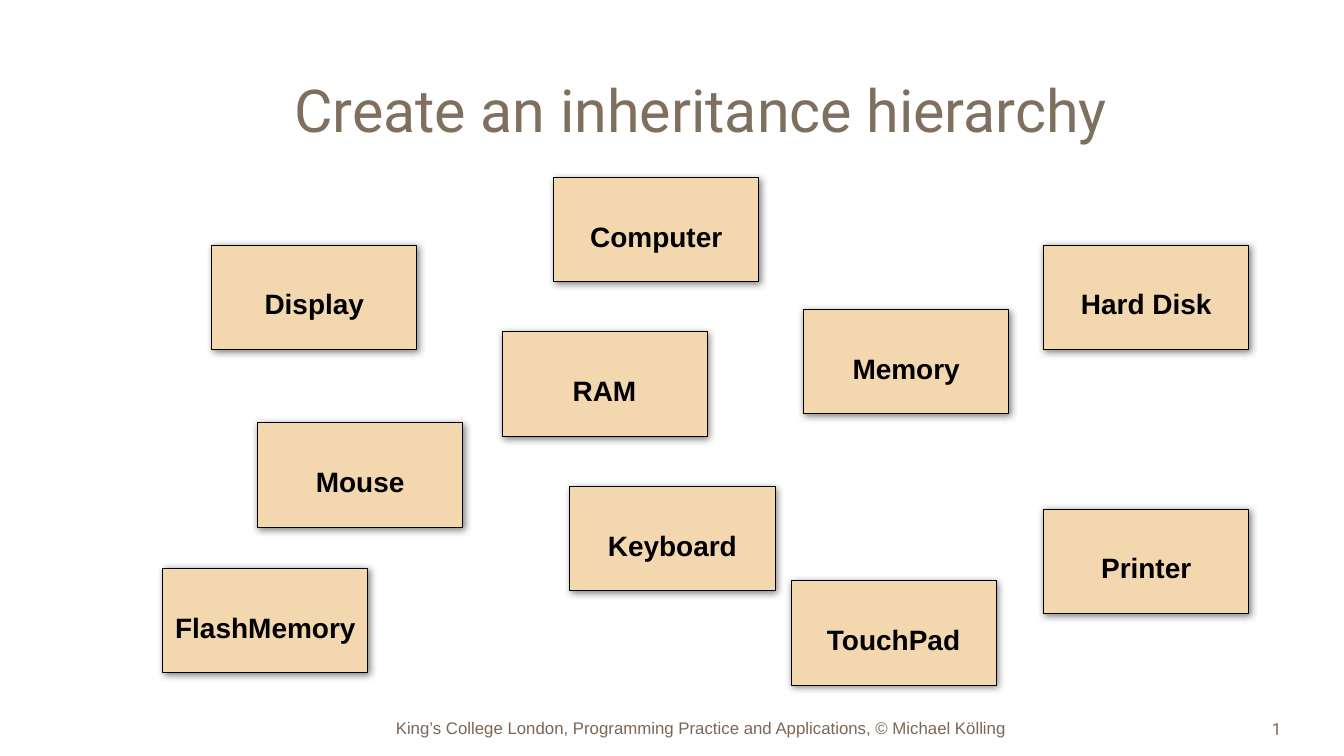
from dataclasses import dataclass

from lxml.etree import SubElement
from pptx import Presentation
from pptx.dml.color import RGBColor
from pptx.enum.shapes import MSO_SHAPE
from pptx.enum.text import MSO_ANCHOR, MSO_AUTO_SIZE, PP_ALIGN
from pptx.oxml.ns import qn
from pptx.util import Pt


@dataclass(frozen=True)
class Theme:
    title_color: RGBColor = RGBColor(0x7F, 0x6F, 0x5E)
    footer_color: RGBColor = RGBColor(0x7C, 0x66, 0x57)
    box_fill: RGBColor = RGBColor(0xF3, 0xD7, 0xAE)
    black: RGBColor = RGBColor(0, 0, 0)
    title_size: float = 84.5
    box_size: float = 40
    footer_size: float = 24
    title_font: str = "Roboto"
    body_font: str = "Arial"


theme = Theme()


def write_text(shape, text, font, size, color, bold=False, align=PP_ALIGN.CENTER,
               anchor=MSO_ANCHOR.TOP, wrap=True, top_inset=7.2):
    frame = shape.text_frame
    frame.auto_size = MSO_AUTO_SIZE.NONE
    frame.word_wrap = wrap
    frame.vertical_anchor = anchor
    frame.margin_left = frame.margin_right = frame.margin_bottom = Pt(7.2)
    frame.margin_top = Pt(top_inset)
    paragraph = frame.paragraphs[0]
    paragraph.alignment = align
    run = paragraph.add_run()
    run.text = text
    run.font.name = font
    run.font.size = Pt(size)
    run.font.bold = bold
    run.font.color.rgb = color


def add_soft_shadow(shape):
    shape.shadow.inherit = False
    effects = shape._element.spPr.find(qn("a:effectLst"))
    shadow = SubElement(effects, qn("a:outerShdw"), blurRad=str(Pt(11)), dist=str(Pt(3.5)),
                        dir=str(56 * 60000), algn="tl", rotWithShape="0")
    color = SubElement(shadow, qn("a:srgbClr"), val=str(theme.black))
    SubElement(color, qn("a:alpha"), val="50000")


presentation = Presentation()
presentation.slide_width, presentation.slide_height = Pt(1920), Pt(1080)
slide = presentation.slides.add_slide(presentation.slide_layouts[5])

# Footer and slide number
footer = slide.shapes.add_textbox(Pt(455), Pt(1017.5), Pt(1092), Pt(44))
write_text(footer, "King’s College London, Programming Practice and Applications, © Michael Kölling",
           theme.body_font, theme.footer_size, theme.footer_color)
number = slide.shapes.add_textbox(Pt(1810), Pt(1019), Pt(28), Pt(42.5))
write_text(number, "1", theme.title_font, theme.footer_size, theme.footer_color,
           align=PP_ALIGN.LEFT, wrap=False)

# Title
title = slide.shapes.title
title.left, title.top, title.width, title.height = Pt(389), Pt(66), Pt(1224), Pt(180)
write_text(title, "Create an inheritance hierarchy", theme.title_font, theme.title_size,
           theme.title_color, anchor=MSO_ANCHOR.MIDDLE)

# Class boxes: name, left, top
class_boxes = [
    ("RAM", 717, 474),
    ("Memory", 1148, 442),
    ("Computer", 791, 253),
    ("Keyboard", 814, 695),
    ("Mouse", 368, 604),
    ("Printer", 1491, 727),
    ("FlashMemory", 232.5, 811.5),
    ("Display", 302.5, 350),
    ("Hard Disk", 1491, 350),
    ("TouchPad", 1130, 829.5),
]
for name, left, top in class_boxes:
    box = slide.shapes.add_shape(MSO_SHAPE.RECTANGLE, Pt(left), Pt(top), Pt(293), Pt(149))
    box.fill.solid()
    box.fill.fore_color.rgb = theme.box_fill
    box.line.color.rgb = theme.black
    box.line.width = Pt(1)
    add_soft_shadow(box)
    write_text(box, name, theme.body_font, theme.box_size, theme.black, bold=True, top_inset=60)

presentation.save("out.pptx")
